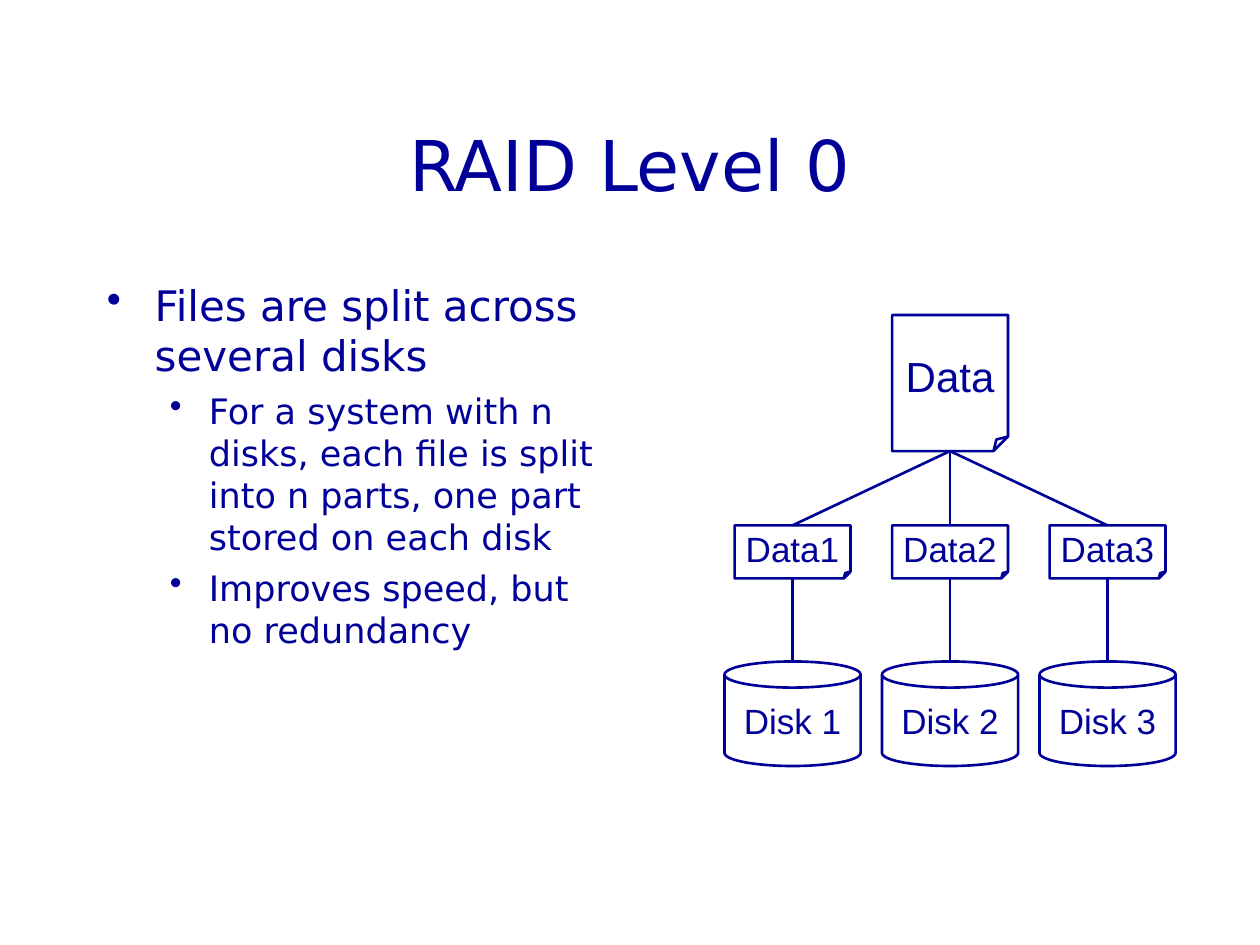
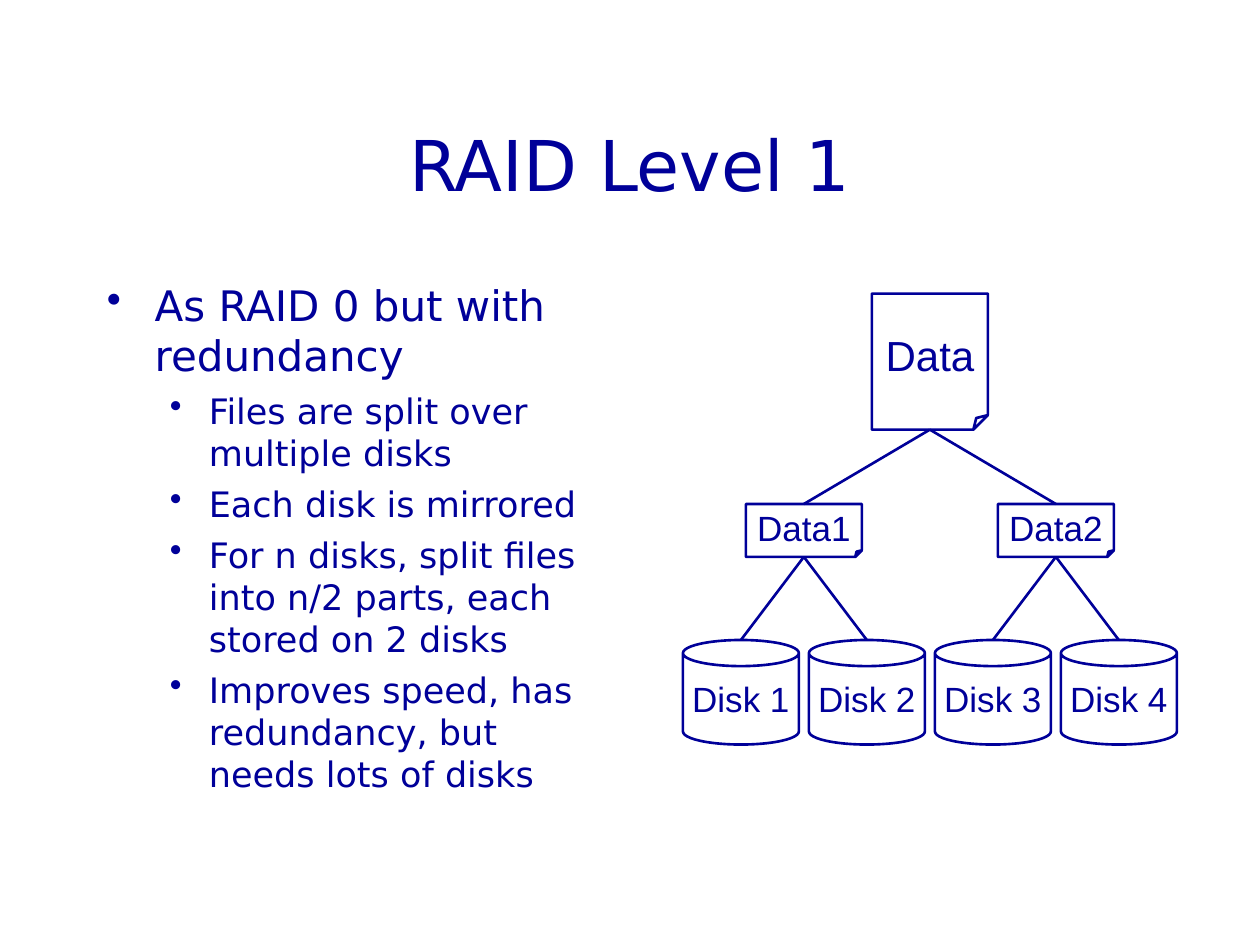
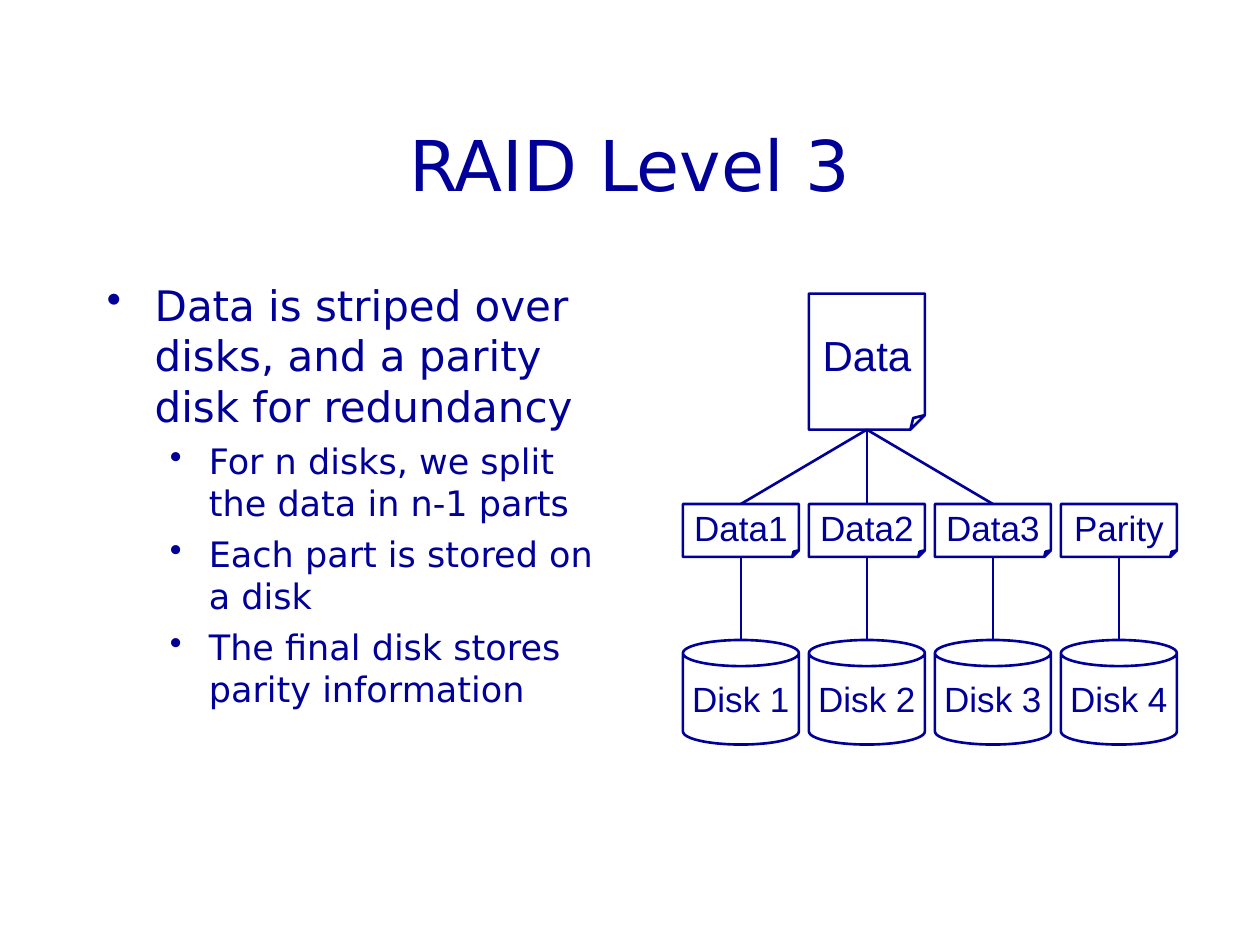
"""Build three slides that explain RAID levels 0, 1 and 3."""
from lxml import etree
from pptx import Presentation, util as u
from pptx.dml.color import RGBColor
from pptx.enum import shapes, text as t
from pptx.oxml import ns

NAVY = RGBColor(0x00, 0x00, 0x99)
WHITE = RGBColor(0xFF, 0xFF, 0xFF)
TITLE_FONT = "DejaVu Sans"
LABEL_FONT = "Arial"
NOTE = shapes.MSO_SHAPE.FOLDED_CORNER
CAN = shapes.MSO_SHAPE.CAN
NOTE_WIDTH, DATA_HEIGHT, PART_HEIGHT, DISK_HEIGHT = 0.92, 1.08, 0.42, 0.83
PART_DROP, DISK_DROP = 1.67, 2.75

LEVELS = [
    dict(
        title="RAID Level 0",
        points=[
            "Files are split across several disks",
            "For a system with n disks, each file is split into n parts, one part stored on each disk",
            "Improves speed, but no redundancy",
        ],
        parts=["Data1", "Data2", "Data3"],
        disks=3, top=2.5, first_center=6.29, pitch=1.25, disk_width=1.08,
    ),
    dict(
        title="RAID Level 1",
        points=[
            "As RAID 0 but with redundancy",
            "Files are split over multiple disks",
            "Each disk is mirrored",
            "For n disks, split files into n/2 parts, each stored on 2 disks",
            "Improves speed, has redundancy, but needs lots of disks",
        ],
        parts=["Data1", "Data2"],
        disks=4, top=2.33, first_center=5.88, pitch=1, disk_width=0.92,
    ),
    dict(
        title="RAID Level 3",
        points=[
            "Data is striped over disks, and a parity disk for redundancy",
            "For n disks, we split the data in n-1 parts",
            "Each part is stored on a disk",
            "The final disk stores parity information",
        ],
        parts=["Data1", "Data2", "Data3", "Parity"],
        disks=4, top=2.33, first_center=5.88, pitch=1, disk_width=0.92,
    ),
]


def write(para, text, size=20, font=LABEL_FONT, align=t.PP_ALIGN.CENTER, before=0, bullet_indent=None):
    para.alignment = align
    para.space_before = u.Pt(before)
    if bullet_indent:
        margin, hanging = bullet_indent
        props = para._p.get_or_add_pPr()
        props.set("marL", str(u.Inches(margin)))
        props.set("indent", str(-u.Inches(hanging)))
        bullet_color = etree.SubElement(props, ns.qn("a:buClr"))
        etree.SubElement(bullet_color, ns.qn("a:srgbClr")).set("val", str(NAVY))
        etree.SubElement(props, ns.qn("a:buChar")).set("char", "•")
    span = para.add_run()
    span.text = text
    span.font.size = u.Pt(size)
    span.font.name = font
    span.font.color.rgb = NAVY


def add_symbol(page, kind, label, center, top, width, height, size=20):
    symbol = page.shapes.add_shape(
        kind, u.Inches(center - width / 2), u.Inches(top), u.Inches(width), u.Inches(height))
    symbol.shadow.inherit = False
    if kind == NOTE:
        guides = symbol._element.spPr.find(ns.qn("a:prstGeom")).find(ns.qn("a:avLst"))
        etree.SubElement(guides, ns.qn("a:gd"), name="adj", fmla="val 12500")
    symbol.fill.background()
    symbol.line.color.rgb = NAVY
    symbol.line.width = u.Pt(1.5)
    symbol.text_frame.word_wrap = False
    symbol.text_frame.vertical_anchor = t.MSO_ANCHOR.MIDDLE
    write(symbol.text_frame.paragraphs[0], label, size=size)
    return symbol


deck = Presentation()
deck.slide_width = u.Inches(10)
deck.slide_height = u.Inches(7.5)

for level in LEVELS:
    page = deck.slides.add_slide(deck.slide_layouts[6])
    page.background.fill.solid()
    page.background.fill.fore_color.rgb = WHITE

    title = page.shapes.add_textbox(u.Inches(0.75), u.Inches(0.67), u.Inches(8.5), u.Inches(1.25))
    title.text_frame.word_wrap = True
    title.text_frame.vertical_anchor = t.MSO_ANCHOR.MIDDLE
    write(title.text_frame.paragraphs[0], level["title"], size=40, font=TITLE_FONT)

    body = page.shapes.add_textbox(u.Inches(0.75), u.Inches(2.17), u.Inches(4.17), u.Inches(4.5))
    body.text_frame.word_wrap = True
    headline, *details = level["points"]
    write(body.text_frame.paragraphs[0], headline, size=24, font=TITLE_FONT,
          align=t.PP_ALIGN.LEFT, bullet_indent=(0.38, 0.38))
    for detail in details:
        para = body.text_frame.add_paragraph()
        para.level = 1
        write(para, detail, font=TITLE_FONT, align=t.PP_ALIGN.LEFT, before=5.1,
              bullet_indent=(0.81, 0.31))

    top = level["top"]
    disk_top = top + DISK_DROP
    disk_centers = [level["first_center"] + level["pitch"] * i for i in range(level["disks"])]
    for number, center in enumerate(disk_centers, 1):
        add_symbol(page, CAN, f"Disk {number}", center, disk_top, level["disk_width"], DISK_HEIGHT)

    copies = level["disks"] // len(level["parts"])
    parts, data_centers, links = [], [], []
    for i, label in enumerate(level["parts"]):
        own_disks = disk_centers[i * copies:(i + 1) * copies]
        center = sum(own_disks) / copies
        part = add_symbol(page, NOTE, label, center, top + PART_DROP, NOTE_WIDTH, PART_HEIGHT)
        links += [(disk, part) for disk in own_disks]
        if label != "Parity":
            parts.append(part)
            data_centers.append(center)

    data_center = sum(data_centers) / len(data_centers)
    data = add_symbol(page, NOTE, "Data", data_center, top, NOTE_WIDTH, DATA_HEIGHT, size=24)

    lines = []
    for part in parts:
        line = page.shapes.add_connector(shapes.MSO_CONNECTOR.STRAIGHT, 0, 0, 0, 0)
        line.begin_connect(data, 2)
        line.end_connect(part, 0)
        lines.append(line)
    for disk_center, part in links:
        start = u.Inches(disk_center), u.Inches(disk_top)
        line = page.shapes.add_connector(shapes.MSO_CONNECTOR.STRAIGHT, *start, *start)
        line.end_connect(part, 2)
        lines.append(line)
    for line in lines:
        line.line.color.rgb = NAVY
        line.line.width = u.Pt(1.5)
        etree.SubElement(line._element.spPr, ns.qn("a:effectLst"))

deck.save("out.pptx")
